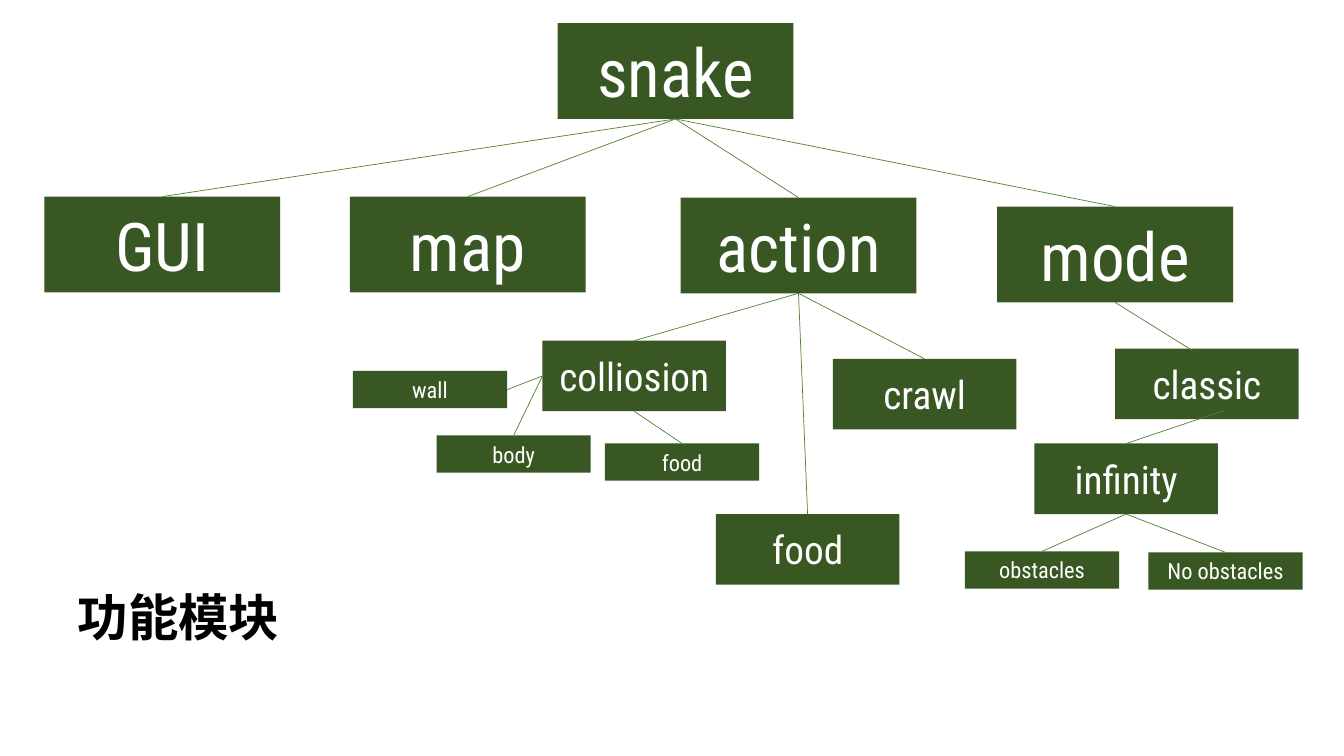
from dataclasses import dataclass

from lxml import etree
from pptx import Presentation
from pptx.dml.color import RGBColor
from pptx.enum.shapes import MSO_CONNECTOR, MSO_SHAPE
from pptx.enum.text import MSO_ANCHOR, MSO_AUTO_SIZE, PP_ALIGN
from pptx.oxml.ns import qn
from pptx.util import Inches, Pt


@dataclass(frozen=True)
class Theme:
    box: RGBColor = RGBColor(0x38, 0x57, 0x23)
    line: RGBColor = RGBColor(0x54, 0x82, 0x35)
    box_text: RGBColor = RGBColor(0xFF, 0xFF, 0xFF)
    title_text: RGBColor = RGBColor(0, 0, 0)
    box_font: str = "Roboto Condensed"
    title_font: str = "Noto Sans CJK SC"
    title_size: int = 36
    line_width: float = 0.5


theme = Theme()

# Each level of the tree: width, height, text size
LEVELS = {
    "module": (2.34, 0.95, 48),
    "feature": (1.82, 0.7, 28),
    "detail": (1.53, 0.37, 16),
}

# Key: text, level, left, top
NODES = {
    "snake": ("snake", "module", 5.53, 0.23),
    "gui": ("GUI", "module", 0.44, 1.95),
    "map": ("map", "module", 3.47, 1.95),
    "action": ("action", "module", 6.75, 1.96),
    "mode": ("mode", "module", 9.89, 2.05),
    "collision": ("colliosion", "feature", 5.38, 3.38),
    "food": ("food", "feature", 7.1, 5.1),
    "crawl": ("crawl", "feature", 8.26, 3.56),
    "classic": ("classic", "feature", 11.06, 3.46),
    "infinity": ("infinity", "feature", 10.26, 4.4),
    "obstacles": ("obstacles", "detail", 9.57, 5.47),
    "no obstacles": ("No obstacles", "detail", 11.39, 5.48),
    "wall": ("wall", "detail", 3.5, 3.68),
    "body": ("body", "detail", 4.33, 4.32),
    "collision food": ("food", "detail", 6, 4.4),
}

# Connection sites of a rectangle
TOP, LEFT, BOTTOM, RIGHT = range(4)

# Parent, site on parent, child, site on child
LINKS = [
    ("snake", BOTTOM, "gui", TOP),
    ("snake", BOTTOM, "map", TOP),
    ("snake", BOTTOM, "action", TOP),
    ("snake", BOTTOM, "mode", TOP),
    ("action", BOTTOM, "collision", TOP),
    ("action", BOTTOM, "food", TOP),
    ("action", BOTTOM, "crawl", TOP),
    ("collision", LEFT, "wall", RIGHT),
    ("collision", LEFT, "body", TOP),
    ("collision", BOTTOM, "collision food", TOP),
    ("infinity", BOTTOM, "obstacles", TOP),
    ("infinity", BOTTOM, "no obstacles", TOP),
]

# Lines with one end inside the classic box: node, site, free end
LOOSE_LINKS = [
    ("mode", BOTTOM, 11.83, 3.48),
    ("infinity", TOP, 12.15, 4.07),
]

deck = Presentation()
deck.slide_width, deck.slide_height = Inches(13.33), Inches(7.5)
slide = deck.slides.add_slide(deck.slide_layouts.get_by_name("Title Only"))
for placeholder in list(slide.placeholders):
    if placeholder != slide.shapes.title:
        placeholder.element.getparent().remove(placeholder.element)

title = slide.shapes.title
title.left, title.top = Inches(0.67), Inches(5.76)
title.width, title.height = Inches(3.85), Inches(0.71)
frame = title.text_frame
frame.text = "功能模块"
frame.word_wrap = True
frame.auto_size = MSO_AUTO_SIZE.SHAPE_TO_FIT_TEXT
frame.vertical_anchor = MSO_ANCHOR.TOP
para = frame.paragraphs[0]
para.alignment = PP_ALIGN.LEFT
span = para.runs[0]
span.font.size = Pt(theme.title_size)
span.font.bold = True
span.font.color.rgb = theme.title_text
span.font.name = theme.title_font
east_asian = etree.SubElement(span.font._element, qn("a:ea"))
east_asian.set("typeface", theme.title_font)

boxes = {}
for key, (text, level, left, top) in NODES.items():
    width, height, size = LEVELS[level]
    box = slide.shapes.add_shape(
        MSO_SHAPE.RECTANGLE, Inches(left), Inches(top), Inches(width), Inches(height)
    )
    box.shadow.inherit = False
    box.fill.solid()
    box.fill.fore_color.rgb = theme.box
    box.line.fill.background()
    frame = box.text_frame
    frame.text = text
    frame.word_wrap = True
    frame.vertical_anchor = MSO_ANCHOR.MIDDLE
    para = frame.paragraphs[0]
    para.alignment = PP_ALIGN.CENTER
    span = para.runs[0]
    span.font.name = theme.box_font
    span.font.size = Pt(size)
    span.font.color.rgb = theme.box_text
    boxes[key] = box


def add_link(node, site, end_x=0, end_y=0):
    """Draw a line from a site of a node to a free end and return it."""
    link = slide.shapes.add_connector(
        MSO_CONNECTOR.STRAIGHT, 0, 0, Inches(end_x), Inches(end_y)
    )
    link.begin_connect(boxes[node], site)
    link.line.color.rgb = theme.line
    link.line.width = Pt(theme.line_width)
    etree.SubElement(link._element.spPr, qn("a:effectLst"))
    return link


for parent, parent_site, child, child_site in LINKS:
    add_link(parent, parent_site).end_connect(boxes[child], child_site)

for node, site, end_x, end_y in LOOSE_LINKS:
    add_link(node, site, end_x, end_y)

deck.save("out.pptx")
